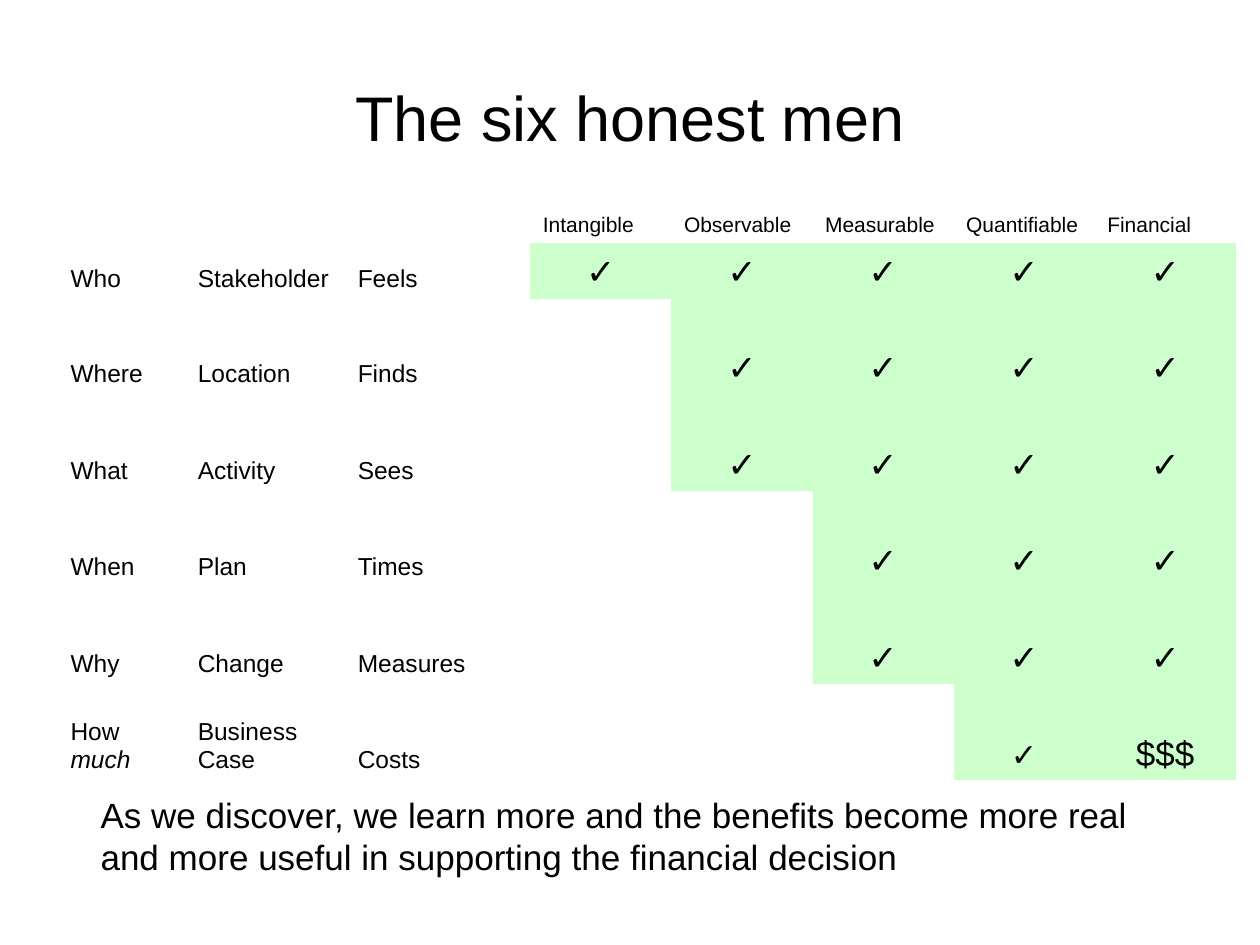
import dataclasses

import pptx
import pptx.dml.color
import pptx.enum.text
import pptx.oxml.ns
import pptx.util

Inches = pptx.util.Inches
Align = pptx.enum.text.PP_ALIGN
Anchor = pptx.enum.text.MSO_ANCHOR


@dataclasses.dataclass(frozen=True)
class Theme:
    font: str = "Arial"
    ink: str = "000000"
    known: str = "CCFFCC"
    title: int = 36
    header: int = 12
    label: int = 14
    mark: int = 20
    small_mark: int = 18
    message: int = 20


theme = Theme()


def style(para, size, align=Align.LEFT):
    para.alignment = align
    para.font.name = theme.font
    para.font.size = pptx.util.Pt(size)
    para.font.color.rgb = pptx.dml.color.RGBColor.from_string(theme.ink)


deck = pptx.Presentation()
deck.slide_width = Inches(10)
deck.slide_height = Inches(7.5)
page = deck.slides.add_slide(deck.slide_layouts[5])

title = page.shapes.title
title.left, title.top = Inches(0.5), Inches(0.3)
title.width, title.height = Inches(9), Inches(1.25)
title.text_frame.text = "The six honest men"
title.text_frame.vertical_anchor = Anchor.MIDDLE
style(title.text_frame.paragraphs[0], theme.title, Align.CENTER)

stages = ["Intangible", "Observable", "Measurable", "Quantifiable", "Financial"]
questions = [
    (["Who", "Stakeholder", "Feels"], 0),
    (["Where", "Location", "Finds"], 1),
    (["What", "Activity", "Sees"], 1),
    (["When", "Plan", "Times"], 2),
    (["Why", "Change", "Measures"], 2),
    (["How", "Business Case", "Costs"], 3),
]
label_widths = [1.01, 1.27, 1.47]
column_widths = label_widths + [1.122] * len(stages)
column_widths = [round(width, 2) for width in column_widths]
row_heights = [0.76, 0.44, 0.76, 0.77, 0.76, 0.77, 0.76]
first_stage = len(label_widths)
last_row = len(questions)

frame = page.shapes.add_table(
    len(row_heights), len(column_widths),
    Inches(0.46), Inches(1.17), Inches(9.36), Inches(5.02),
)
table = frame.table
table.first_row = False
table.horz_banding = False
style_id = next(frame.element.iter(pptx.oxml.ns.qn("a:tableStyleId")))
style_id.text = "{2D5ABB26-0587-4C30-8999-92F81FD0307C}"

for column, width in zip(table.columns, column_widths):
    column.width = Inches(width)
for row, height in zip(table.rows, row_heights):
    row.height = Inches(height)
for cell in table.iter_cells():
    cell.fill.background()
    cell.vertical_anchor = Anchor.BOTTOM

for column, stage in enumerate(stages, first_stage):
    cell = table.cell(0, column)
    cell.text = stage
    style(cell.text_frame.paragraphs[0], theme.header)

for row, (labels, start) in enumerate(questions, 1):
    for column, label in enumerate(labels):
        cell = table.cell(row, column)
        cell.text = label
        style(cell.text_frame.paragraphs[0], theme.label)

    for column in range(first_stage + start, len(column_widths)):
        cell = table.cell(row, column)
        cell.fill.solid()
        cell.fill.fore_color.rgb = pptx.dml.color.RGBColor.from_string(theme.known)
        is_cost = row == last_row and column == len(column_widths) - 1
        cell.text = "$$$" if is_cost else "✓"
        para = cell.text_frame.paragraphs[0]
        size = theme.small_mark if row == last_row and not is_cost else theme.mark
        style(para, size, Align.CENTER)
        if row != last_row and column > first_stage:
            para.space_before = pptx.util.Pt(5)

span = table.cell(last_row, 0).text_frame.paragraphs[0].add_run()
span.text = " much"
span.font.italic = True

box = page.shapes.add_textbox(Inches(0.7), Inches(6.25), Inches(8.44), Inches(0.77))
box.text_frame.word_wrap = False
box.text_frame.auto_size = pptx.enum.text.MSO_AUTO_SIZE.SHAPE_TO_FIT_TEXT
para = box.text_frame.paragraphs[0]
para.text = (
    "As we discover, we learn more and the benefits become more real\v"
    "and more useful in supporting the financial decision"
)
style(para, theme.message)

deck.save("out.pptx")
